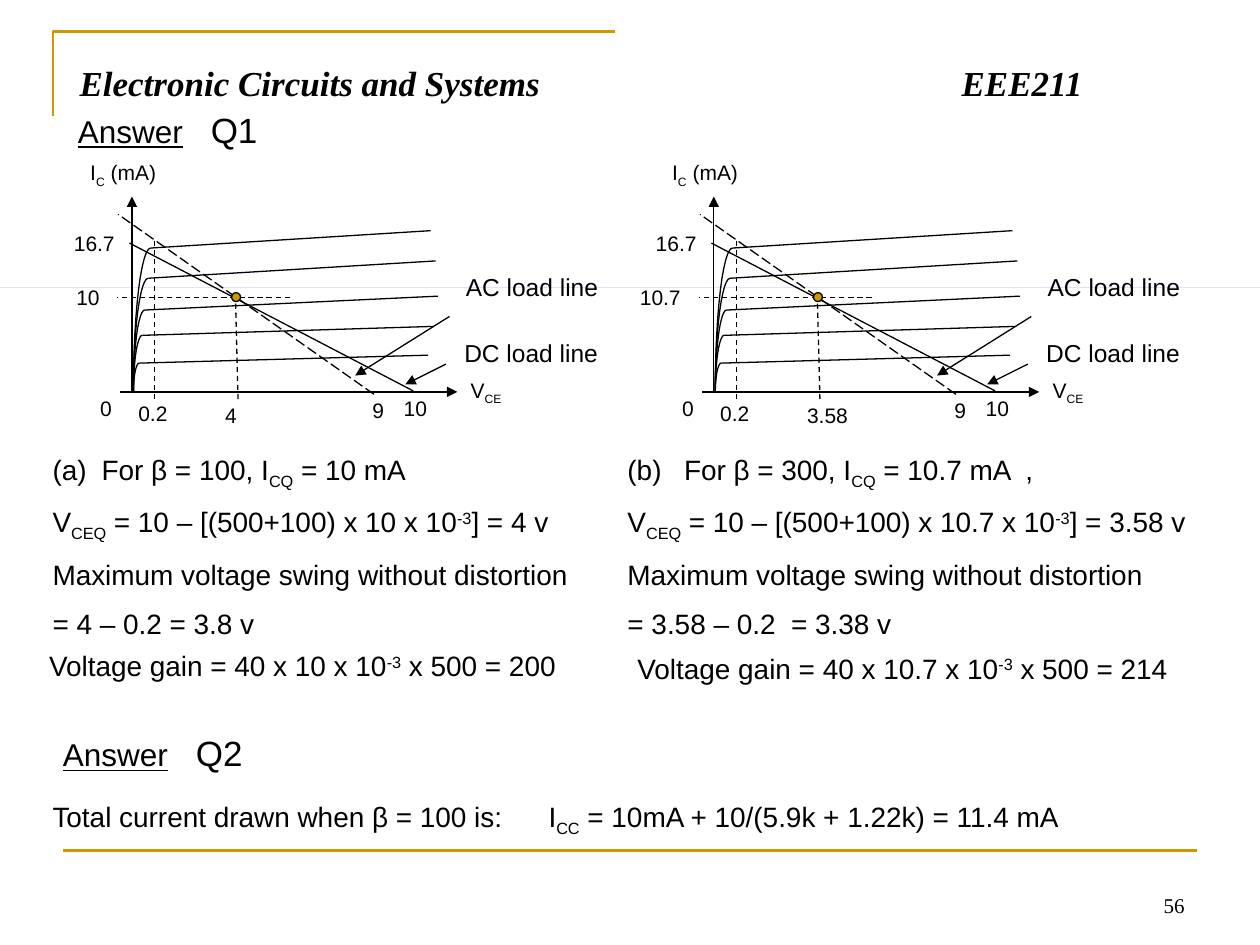
import math

import pptx
import pptx.dml.color
import pptx.enum.dml
import pptx.enum.shapes
import pptx.enum.text
import pptx.oxml
import pptx.oxml.ns
import pptx.util

Cm = pptx.util.Cm
Pt = pptx.util.Pt
ANCHOR = pptx.enum.text.MSO_ANCHOR
ALIGN = pptx.enum.text.PP_ALIGN
DASH = pptx.enum.dml.MSO_LINE
SHAPE = pptx.enum.shapes.MSO_SHAPE
BLACK, GOLD, BLUE = "000000", "CC9900", "0033CC"
SERIF = "Times New Roman"

# Knee x, knee y, right end x, right end y of each collector curve
CURVES = [
    (1.8, 1.9, 7.44, 1.55),
    (1.75, 2.51, 7.54, 2.16),
    (1.68, 3.15, 7.59, 2.87),
    (1.63, 3.66, 7.49, 3.48),
    (1.57, 4.22, 7.39, 4.06),
]
FOOT_X, FOOT_Y = 1.45, 4.82


def rgb(value):
    return pptx.dml.color.RGBColor.from_string(value)


def add_xml(parent, xml):
    tag, rest = xml.split(" ", 1) if " " in xml else (xml, "")
    ns = pptx.oxml.ns.nsdecls("a")
    parent.append(pptx.oxml.parse_xml(f"<a:{tag} {ns} {rest}/>"))


def add_runs(p, text, size=16, font="Arial", color=BLACK, **style):
    """Add runs to p; _x_ marks a subscript and ^x^ a superscript."""
    for i, chunk in enumerate(text.split("_")):
        for j, part in enumerate(chunk.split("^")):
            if not part:
                continue
            r = p.add_run()
            r.text = part
            r.font.size = Pt(size)
            r.font.name = font
            r.font.color.rgb = rgb(color)
            for name, value in style.items():
                setattr(r.font, name, value)
            if i % 2 or j % 2:
                r._r.get_or_add_rPr().set("baseline", "-25000" if i % 2 else "30000")


def add_tab(p, pos):
    pPr = p._p.get_or_add_pPr()
    add_xml(pPr, "tabLst")
    add_xml(pPr[-1], f'tab pos="{Cm(pos)}" algn="l"')


def add_text(shapes, box, *lines, tab=None, gap=8.4, align=ALIGN.LEFT,
             anchor=ANCHOR.TOP, **style):
    tf = shapes.add_textbox(*map(Cm, box)).text_frame
    tf.word_wrap = True
    tf.vertical_anchor = anchor
    for i, line in enumerate(lines):
        p = tf.add_paragraph() if i else tf.paragraphs[0]
        p.alignment = align
        if i:
            p.space_before = Pt(gap)
        if tab:
            add_tab(p, tab)
        add_runs(p, line, **style)
    return tf


def set_line(shape, color=BLACK, width=0.75):
    shape.line.color.rgb = rgb(color)
    shape.line.width = Pt(width)


def add_line(shapes, x1, y1, x2, y2, color=BLACK, width=0.75, dash=None, arrow=False):
    c = shapes.add_connector(pptx.enum.shapes.MSO_CONNECTOR.STRAIGHT,
                             *map(Cm, (x1, y1, x2, y2)))
    set_line(c, color, width)
    if dash:
        c.line.dash_style = dash
    if arrow:
        add_xml(c.line._get_or_add_ln(), 'tailEnd type="triangle"')
    add_xml(c._element.spPr, "effectLst")


def add_outline(shapes, points, color=BLACK, width=0.75):
    (x, y), *rest = [(Cm(px), Cm(py)) for px, py in points]
    builder = shapes.build_freeform(x, y)
    builder.add_line_segments(rest, close=False)
    shape = builder.convert_to_shape()
    shape.fill.background()
    shape.shadow.inherit = False
    set_line(shape, color, width)


def add_filled(shapes, kind, box, color):
    shape = shapes.add_shape(kind, *map(Cm, box))
    shape.fill.solid()
    shape.fill.fore_color.rgb = rgb(color)
    shape.shadow.inherit = False
    return shape


def add_frame(s):
    """Corner rule, foot rule and page number."""
    add_outline(s.shapes, [(1.07, 2.34), (1.07, 0.64), (12.4, 0.64)], GOLD, 1.5)
    add_line(s.shapes, 1.27, 17.15, 24.13, 17.15, GOLD, 1.5)
    add_text(s.shapes, (18.2, 17.35, 5.93, 1.27), "56", size=12, font=SERIF,
             align=ALIGN.RIGHT, anchor=ANCHOR.BOTTOM)


def add_title(s, left, top, width, height):
    title = s.shapes.title
    title.left, title.top, title.width, title.height = map(Cm, (left, top, width, height))
    tf = title.text_frame
    tf.vertical_anchor = ANCHOR.TOP
    tf.margin_top = Cm(0.22)
    p = tf.paragraphs[0]
    p.alignment = ALIGN.LEFT
    add_tab(p, 17.78)
    add_runs(p, "Electronic Circuits and Systems\tEEE211", size=20, font=SERIF,
             bold=True, italic=True)


def add_heading(s, left, top, question):
    tf = add_text(s.shapes, (left, top, 6.1, 1.09), "Answer", tab=2.68, size=18,
                  underline=True)
    add_runs(tf.paragraphs[0], "\t" + question, size=20)


def add_graph(s, left, top, current, current_box, voltage):
    """Collector curves with load lines and the operating point."""
    shapes = s.shapes.add_group_shape().shapes

    def line(x1, y1, x2, y2, **style):
        add_line(shapes, left + x1, top + y1, left + x2, top + y2, **style)

    def label(text, x, y, width, size=12):
        add_text(shapes, (left + x, top + y, width, 0.76), text, size=size)

    line(1.42, 4.83, 1.42, 0.86, arrow=True)
    line(1.19, 4.8, 7.98, 4.8, arrow=True)
    for knee_x, knee_y, end_x, end_y in CURVES:
        angles = [math.pi / 2 * i / 12 for i in range(13)]
        add_outline(shapes, [(left + knee_x - (knee_x - FOOT_X) * math.sin(a),
                              top + FOOT_Y - (FOOT_Y - knee_y) * math.cos(a))
                             for a in angles])
        line(end_x, end_y, knee_x, knee_y)

    line(7.09, 4.78, 1.37, 1.8)
    line(6.3, 4.85, 1.14, 1.22, dash=DASH.LONG_DASH)
    line(4.6, 2.9, 1.12, 2.9, dash=DASH.DASH)
    line(3.51, 3.02, 3.56, 5, dash=DASH.DASH)
    line(1.88, 1.75, 1.88, 4.95, dash=DASH.DASH)
    line(7.75, 4.24, 6.93, 4.65, arrow=True)
    line(7.82, 3.28, 5.92, 4.47, arrow=True)
    set_line(add_filled(shapes, SHAPE.OVAL, (left + 3.43, top + 2.8, 0.18, 0.18), GOLD))

    label("I_C_ (mA)", 0.33, 0, 2.1)
    label("V_CE_", 8, 4.39, 1.4)
    label("16.7", 0, 1.42, 1.37)
    label(current, current_box[0], 2.52, current_box[1])
    label("0", 0.53, 4.75, 0.74)
    label("0.2", 1.3, 4.85, 1.45)
    label(voltage, 3.05, 4.9, 1.57)
    label("9", 6.02, 4.78, 1.07)
    label("10", 6.65, 4.75, 1.07)
    label("AC load line", 7.9, 2.26, 3.35, size=14)
    label("DC load line", 7.87, 3.58, 3.43, size=14)


def main():
    prs = pptx.Presentation()
    prs.slide_width, prs.slide_height = Cm(25.4), Cm(19.05)
    s = prs.slides.add_slide(prs.slide_layouts[5])
    add_frame(s)
    add_title(s, 1.35, 1.02, 22.66, 1.55)
    add_filled(s.shapes, SHAPE.RECTANGLE, (0, 5.79, 25.4, 0), BLUE).line.fill.background()

    add_heading(s, 1.32, 2.06, "Q1")
    add_graph(s, 1.24, 3.1, "10", (0.05, 1.12), "4")
    add_graph(s, 12.97, 3.1, "10.7", (-0.32, 1.68), "3.58")
    swing = "Maximum voltage swing without distortion"
    add_text(s.shapes, (0.81, 8.99, 11.33, 4.7),
             "(a)\tFor β = 100, I_CQ_ = 10 mA",
             "V_CEQ_ = 10 – [(500+100) x 10 x 10^-3^] = 4 v",
             swing, "= 4 – 0.2 = 3.8 v", tab=0.99)
    add_text(s.shapes, (12.4, 8.99, 12.47, 4.01),
             "(b)\tFor β = 300, I_CQ_ = 10.7 mA  ,",
             "V_CEQ_ = 10 – [(500+100) x 10.7 x 10^-3^] = 3.58 v",
             swing, "= 3.58 – 0.2  = 3.38 v", tab=1.14)
    add_text(s.shapes, (0.74, 12.95, 11.79, 0.94),
             "Voltage gain = 40 x 10 x 10^-3^ x 500 = 200")
    add_text(s.shapes, (12.6, 13, 11.79, 0.94),
             "Voltage gain = 40 x 10.7 x 10^-3^ x 500 = 214")

    add_heading(s, 1.02, 14.63, "Q2")
    add_text(s.shapes, (0.81, 16, 21.79, 0.94),
             "Total current drawn when β = 100 is:\t"
             "I_CC_ = 10mA + 10/(5.9k + 1.22k) = 11.4 mA", tab=10)
    prs.save("out.pptx")


if __name__ == "__main__":
    main()
